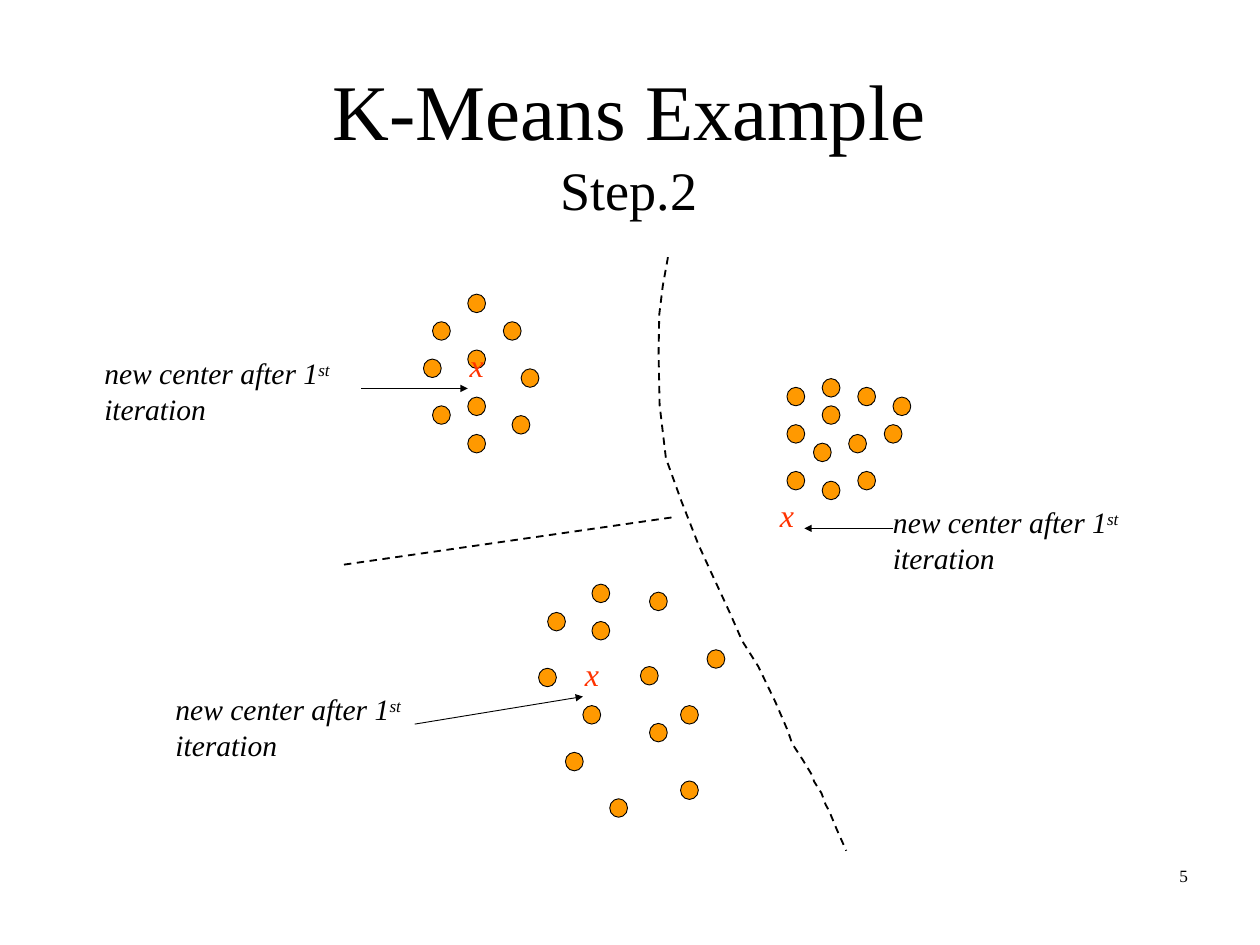
from lxml import etree
from pptx import Presentation
from pptx import util as u
from pptx.dml.color import RGBColor
from pptx.enum import dml, shapes, text
from pptx.oxml import ns

colour = RGBColor.from_string
BLACK, ORANGE, RED = "000000", "FF9900", "FF3300"


def add_run(paragraph, words, size, hex_colour=BLACK, italic=False):
    run = paragraph.add_run()
    run.text = words
    formats = {"name": "Times New Roman", "size": u.Pt(size), "italic": italic}
    for name, value in formats.items():
        setattr(run.font, name, value)
    run.font.color.rgb = colour(hex_colour)
    return run


def add_text_box(left, top, width, height, alignment):
    box = slide.shapes.add_textbox(u.Cm(left), u.Cm(top), u.Cm(width), u.Cm(height))
    box.text_frame.word_wrap = True
    paragraph = box.text_frame.paragraphs[0]
    paragraph.alignment = alignment
    return paragraph


presentation = Presentation()
presentation.slide_width = u.Cm(36.12)
presentation.slide_height = u.Cm(27.08)
slide = presentation.slides.add_slide(presentation.slide_layouts[5])

# Title with the step below it
title = slide.shapes.title
title_box = {"left": 2.74, "top": 1.78, "width": 30.58, "height": 2.9}
for name, value in title_box.items():
    setattr(title, name, u.Cm(value))
frame_formats = {
    "margin_left": 0, "margin_right": 0, "margin_top": 0, "margin_bottom": 0,
    "word_wrap": True,
    "auto_size": text.MSO_AUTO_SIZE.NONE,
    "vertical_anchor": text.MSO_ANCHOR.TOP,
}
for name, value in frame_formats.items():
    setattr(title.text_frame, name, value)
heading = title.text_frame.paragraphs[0]
heading.alignment = text.PP_ALIGN.CENTER
add_run(heading, "K-Means Example", 64)
heading.add_line_break()
add_run(heading, "Step.2", 44)

# Slide number
number = add_text_box(25.88, 24.66, 8.43, 1.88, text.PP_ALIGN.RIGHT)
add_run(number, "5", 14)

# Data points of the three clusters
clusters = {
    "left": [
        (13.41, 8.43), (12.4, 9.22), (14.43, 9.22), (13.41, 10.03), (12.14, 10.29),
        (14.94, 10.57), (13.41, 11.38), (13.41, 12.45), (12.4, 11.63), (14.68, 11.91),
    ],
    "right": [
        (23.57, 10.85), (22.56, 11.1), (24.59, 11.1), (23.57, 11.63), (22.56, 12.17),
        (23.32, 12.7), (22.56, 13.51), (23.57, 13.79), (25.6, 11.38), (24.33, 12.45),
        (25.35, 12.17), (24.59, 13.51),
    ],
    "bottom": [
        (16.97, 16.74), (18.62, 16.97), (16.97, 17.81), (15.7, 17.55), (15.44, 19.15),
        (18.36, 19.1), (20.27, 18.62), (16.71, 20.22), (19.51, 20.22), (18.62, 20.73),
        (16.21, 21.56), (17.48, 22.89), (19.51, 22.38),
    ],
}
for points in clusters.values():
    for left, top in points:
        dot = slide.shapes.add_shape(
            shapes.MSO_SHAPE.FLOWCHART_CONNECTOR,
            u.Cm(left), u.Cm(top), u.Cm(0.51), u.Cm(0.53))
        dot.shadow.inherit = False
        dot.fill.solid()
        dot.fill.fore_color.rgb = colour(ORANGE)
        dot.line.color.rgb = colour(BLACK)
        dot.line.width = u.Pt(0.75)

# Curved border between the clusters
border_points = [
    (19.15, 7.37), (19.0, 8.2), (18.9, 9.02), (18.88, 10.13), (18.91, 11.61),
    (19.09, 13.13), (19.53, 14.35), (20.02, 15.6), (20.4, 16.43), (20.78, 17.25),
    (20.93, 17.58), (21.23, 18.26), (21.31, 18.42), (21.74, 19.1), (22.23, 20.12),
    (22.58, 20.93), (22.71, 21.31), (23.01, 21.77), (23.29, 22.23), (23.34, 22.4),
    (23.55, 22.73), (23.67, 23.06), (23.77, 23.24), (23.98, 23.75), (24.26, 24.38),
]
corners = [(u.Cm(x), u.Cm(y)) for x, y in border_points]
builder = slide.shapes.build_freeform(*corners[0])
builder.add_line_segments(corners[1:], close=False)
border = builder.convert_to_shape()
border.shadow.inherit = False
border.fill.background()
border.line.color.rgb = colour(BLACK)
border.line.width = u.Pt(1.5)
border.line.dash_style = dml.MSO_LINE.DASH

# Straight dashed border, then the arrows to the centers
lines = [
    (9.86, 16.18, 19.38, 14.81, True),
    (10.36, 11.13, 13.41, 11.13, False),
    (11.89, 20.75, 16.71, 19.96, False),
    (25.6, 15.14, 23.06, 15.14, False),
]
for x1, y1, x2, y2, dashed in lines:
    connector = slide.shapes.add_connector(
        shapes.MSO_CONNECTOR.STRAIGHT, u.Cm(x1), u.Cm(y1), u.Cm(x2), u.Cm(y2))
    connector.line.color.rgb = colour(BLACK)
    connector.line.width = u.Pt(1.5 if dashed else 0.75)
    if dashed:
        connector.line.dash_style = dml.MSO_LINE.DASH
    else:
        outline = connector.line._get_or_add_ln()
        etree.SubElement(outline, ns.qn("a:tailEnd"), type="triangle")
    etree.SubElement(connector._element.spPr, ns.qn("a:effectLst"))

# Center marks
for left, top in [(22.05, 14.07), (13.16, 9.78), (16.46, 18.62)]:
    mark = add_text_box(left, top, 1.02, 1.37, text.PP_ALIGN.CENTER)
    add_run(mark, "x", 26, RED, italic=True)

# Center labels
for left, top in [(2.74, 10.06), (4.78, 19.69), (25.35, 14.33)]:
    label = add_text_box(left, top, 8, 2.29, text.PP_ALIGN.LEFT)
    add_run(label, "new center after 1", 24, italic=True)
    ordinal = add_run(label, "st", 24, italic=True)
    ordinal._r.get_or_add_rPr().set("baseline", "30000")
    add_run(label, " iteration", 24, italic=True)

presentation.save("out.pptx")
